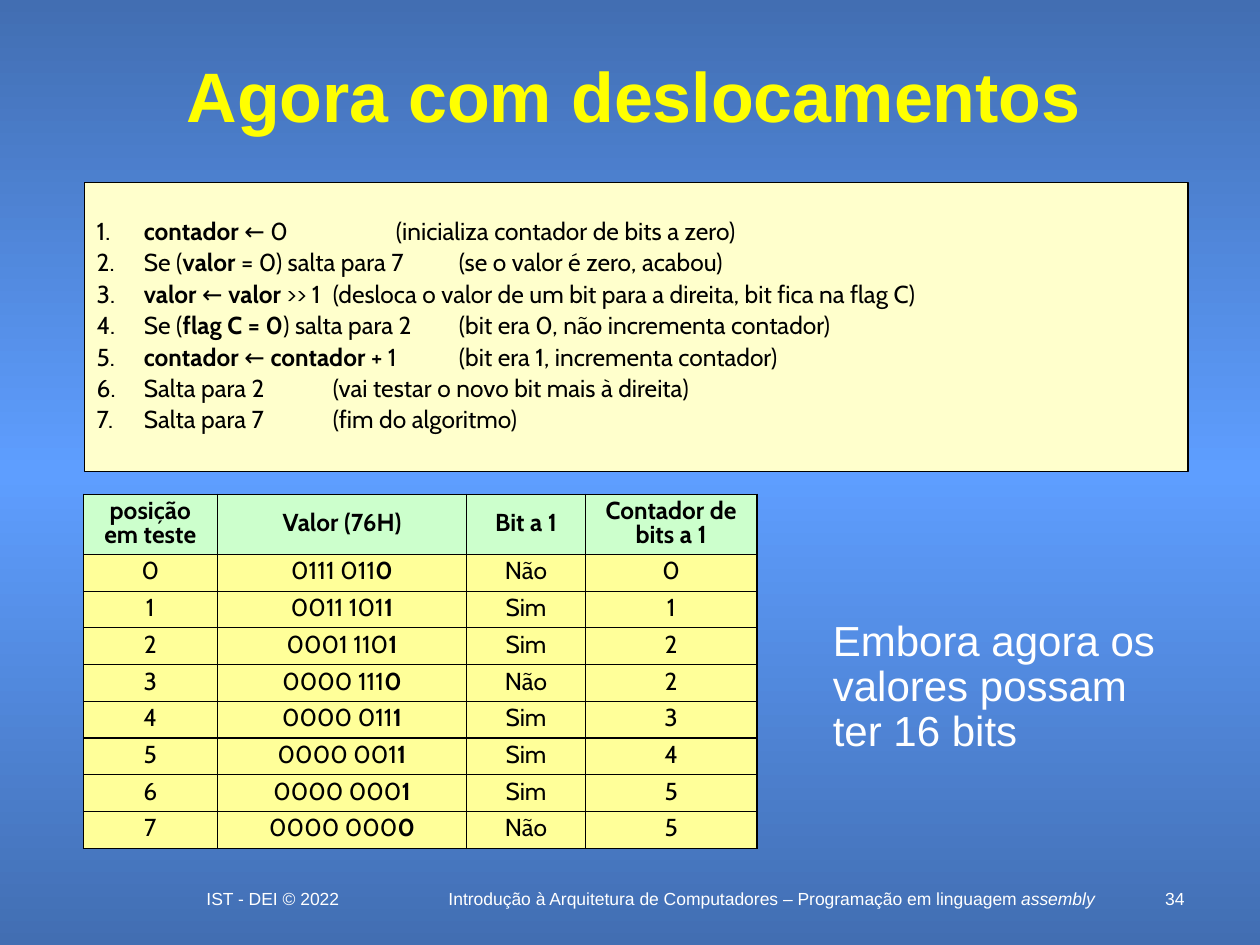
from lxml.etree import SubElement
from pptx import Presentation
from pptx.dml.color import RGBColor
from pptx.enum.shapes import MSO_SHAPE
from pptx.enum.text import MSO_ANCHOR, PP_ALIGN
from pptx.oxml import parse_xml
from pptx.oxml.ns import nsdecls, qn
from pptx.util import Cm, Pt

STEPS = [
    "*contador *← 0\t\t(inicializa contador de bits a zero)",
    "Se (*valor* = 0) salta para 7\t(se o valor é zero, acabou)",
    "*valor *← *valor* >> 1\t(desloca o valor de um bit para a direita, bit fica na flag C)",
    "Se (*flag C = 0*) salta para 2\t(bit era 0, não incrementa contador)",
    "*contador *← *contador* + 1\t(bit era 1, incrementa contador)",
    "Salta para 2\t\t(vai testar o novo bit mais à direita)",
    "Salta para 7\t\t(fim do algoritmo)",
]
HEADERS = ["posição em teste", "Valor (76H)", "Bit a 1", "Contador de bits a 1"]
COL_WIDTHS = [2.7, 5.03, 2.39, 3.46]
VALUE, BITS = 0x76, 8


def rgb(color):
    return RGBColor.from_string(color)


def style(p, size, font, color, align=PP_ALIGN.LEFT, spacing=1.0, before=0, bold=False):
    f = p.font
    f.size, f.name, f.bold = Pt(size), font, bold
    f.color.rgb = rgb(color)
    p.alignment, p.line_spacing, p.space_before = align, spacing, Pt(before)


def add_marked_runs(p, text):
    """Add runs to p; text between asterisks is bold."""
    for i, part in enumerate(text.split("*")):
        if part:
            r = p.add_run()
            r.text = part
            if i % 2:
                r.font.bold = True


def set_background(s):
    stops = [(0, "426EB2"), (50, "5E9EFF"), (100, "426EB2")]
    gs = "".join(f'<a:gs pos="{pos * 1000}"><a:srgbClr val="{c}"/></a:gs>' for pos, c in stops)
    s.background.fill.solid()
    bg_pr = s.background.fill._xPr
    bg_pr.replace(bg_pr[0], parse_xml(
        f'<a:gradFill {nsdecls("a")} rotWithShape="1"><a:gsLst>{gs}</a:gsLst>'
        '<a:lin ang="5400000" scaled="0"/></a:gradFill>'))


def add_title(s, x, y, w, h):
    title = s.shapes.title
    title.left, title.top, title.width, title.height = Cm(x), Cm(y), Cm(w), Cm(h)
    tf = title.text_frame
    tf.text = "Agora com deslocamentos"
    tf.vertical_anchor = MSO_ANCHOR.MIDDLE
    style(tf.paragraphs[0], 40, "Arial", "FFFF00", PP_ALIGN.CENTER, 0.8, bold=True)


def add_text(s, x, y, w, h, text, size, **options):
    """Add a white text box and return its paragraph."""
    tf = s.shapes.add_textbox(Cm(x), Cm(y), Cm(w), Cm(h)).text_frame
    tf.word_wrap = True
    p = tf.paragraphs[0]
    p.add_run().text = text
    style(p, size, "Arial", "FFFFFF", **options)
    return p


def add_algorithm(s, x, y, w, h):
    sp = s.shapes.add_shape(MSO_SHAPE.RECTANGLE, Cm(x), Cm(y), Cm(w), Cm(h))
    sp.shadow.inherit = False
    sp.fill.solid()
    sp.fill.fore_color.rgb = rgb("FFFFCC")
    sp.line.color.rgb = rgb("000000")
    sp.line.width = Pt(0.75)
    tf = sp.text_frame
    tf.word_wrap = True
    tf.vertical_anchor = MSO_ANCHOR.MIDDLE
    indent = Cm(0.95)
    for i, step in enumerate(STEPS):
        p = tf.add_paragraph() if i else tf.paragraphs[0]
        add_marked_runs(p, f"{i + 1}.\t{step}")
        style(p, 14, "Cabin", "000000", spacing=0.9, before=2.8)
        pPr = p._p.get_or_add_pPr()
        pPr.set("marL", str(indent))
        pPr.set("indent", str(-indent))


def trace_rows():
    """Yield position, shifted value, tested bit and running count of ones."""
    count = 0
    for pos in range(BITS):
        bits = f"{VALUE >> pos:08b}"
        one = bits[-1] == "1"
        count += one
        yield [str(pos), f"{bits[:4]} {bits[4:7]}*{bits[7]}*", "Sim" if one else "Não", str(count)]


def format_cell(cell, text, fill, bold):
    cell.vertical_anchor = MSO_ANCHOR.MIDDLE
    tcPr = cell._tc.get_or_add_tcPr()
    for side in ("lnL", "lnR", "lnT", "lnB"):
        ln = SubElement(tcPr, qn(f"a:{side}"), w=str(Pt(0.75)))
        SubElement(SubElement(ln, qn("a:solidFill")), qn("a:srgbClr"), val="000000")
    cell.fill.solid()
    cell.fill.fore_color.rgb = rgb(fill)
    p = cell.text_frame.paragraphs[0]
    add_marked_runs(p, text)
    style(p, 14, "Cabin", "000000", PP_ALIGN.CENTER, 0.8, 1.4, bold)


def add_trace_table(s, x, y, header_h, row_h):
    rows = [HEADERS, *trace_rows()]
    table = s.shapes.add_table(len(rows), len(HEADERS), Cm(x), Cm(y), Cm(sum(COL_WIDTHS)),
                               Cm(header_h + BITS * row_h)).table
    for col, width in zip(table.columns, COL_WIDTHS):
        col.width = Cm(width)
    for i, row in enumerate(rows):
        is_header = i == 0
        table.rows[i].height = Cm(header_h if is_header else row_h)
        for j, text in enumerate(row):
            format_cell(table.cell(i, j), text, "CCFFCC" if is_header else "FFFF99", is_header)


def add_footer(s, y, h):
    add_text(s, 3.38, y, 4.24, h, "IST - DEI © 2022", 10, align=PP_ALIGN.CENTER)
    p = add_text(s, 8.76, y, 13.59, h,
                 "Introdução à Arquitetura de Computadores – Programação em linguagem ",
                 10, align=PP_ALIGN.CENTER)
    r = p.add_run()
    r.text = "assembly"
    r.font.italic = True
    add_text(s, 23.06, y, 1.07, h, "34", 10, align=PP_ALIGN.RIGHT)


def main():
    prs = Presentation()
    prs.slide_width, prs.slide_height = Cm(25.4), Cm(19.05)
    s = prs.slides.add_slide(prs.slide_layouts[5])
    set_background(s)
    add_title(s, 1.88, 1.22, 21.79, 1.7)
    add_algorithm(s, 1.7, 3.68, 22.25, 5.82)
    add_trace_table(s, 1.68, 9.96, 1.2, 0.74)
    add_text(s, 16.54, 12.37, 7.44, 2.95, "Embora agora os valores possam ter 16 bits", 24,
             spacing=0.9, before=4.8)
    add_footer(s, 17.78, 0.64)
    prs.save("out.pptx")


if __name__ == "__main__":
    main()
